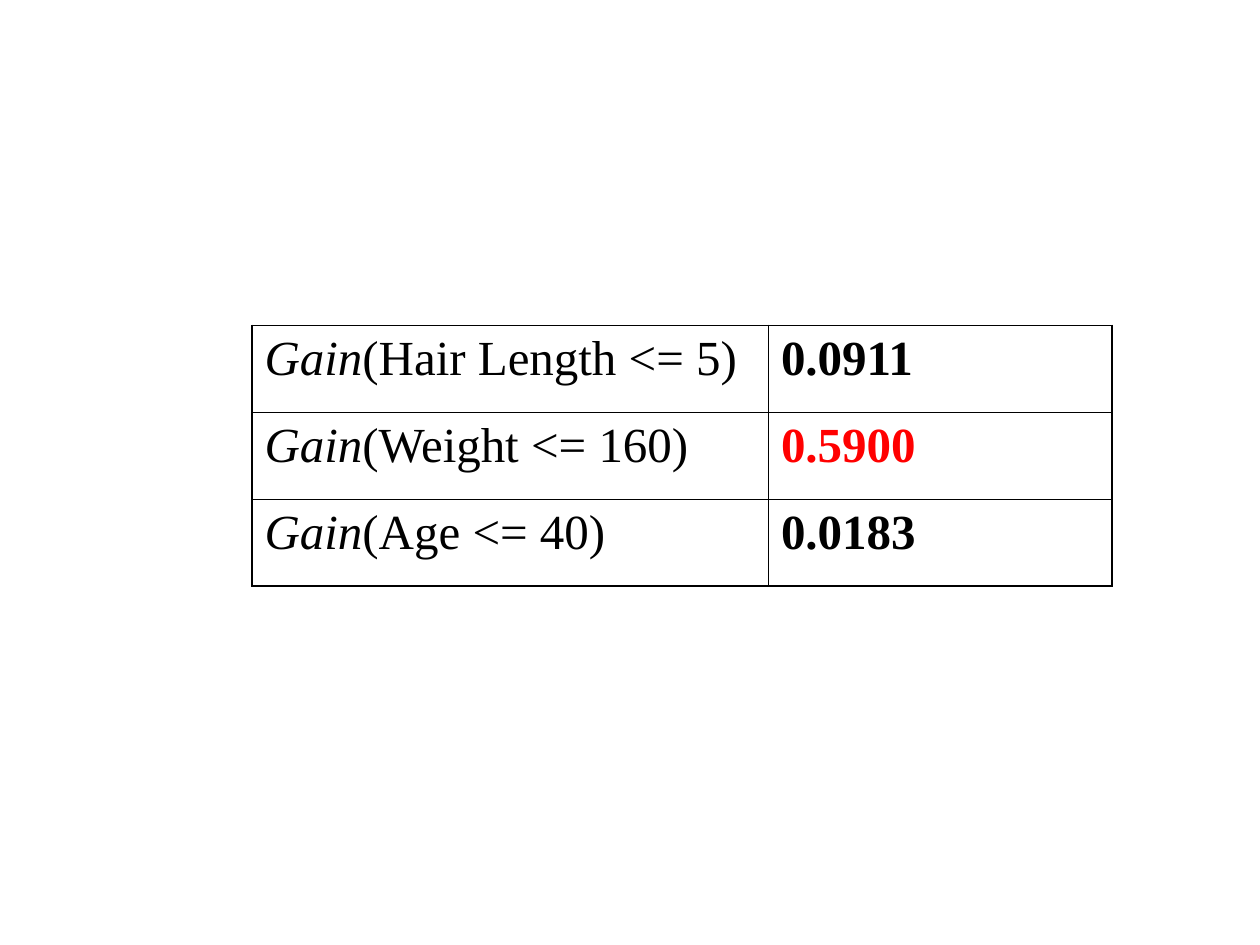
import pptx
import pptx.util
import pptx.dml.color
import lxml.etree
from pptx.oxml.ns import qn
from pptx.util import Cm, Pt

GAINS = [
    ("(Hair Length <= 5)", "0.0911", "ink"),
    ("(Weight <= 160)", "0.5900", "best"),
    ("(Age <= 40)", "0.0183", "ink"),
]
THEME = {
    "font": "Times New Roman",
    "size": Pt(28),
    "ink": "000000",
    "best": "FF0000",
    "outer": Pt(1.08),
    "inner": Pt(0.45),
}
LEFT, TOP = Cm(5.08), Cm(6.56)
WIDTHS = [Cm(10.41), Cm(6.93)]
HIGH = Cm(1.75)


def rule(cell, side, width):
    line = lxml.etree.SubElement(cell._tc.get_or_add_tcPr(), qn("a:ln" + side), w=str(int(width)))
    fill = lxml.etree.SubElement(line, qn("a:solidFill"))
    lxml.etree.SubElement(fill, qn("a:srgbClr"), val=THEME["ink"])


def frame(cell, row, col):
    edges = {
        "L": col == 0,
        "R": col == len(WIDTHS) - 1,
        "T": row == 0,
        "B": row == len(GAINS) - 1,
    }
    for side, edge in edges.items():
        rule(cell, side, THEME["outer" if edge else "inner"])
    cell.fill.background()


def write(cell, parts, color, bold):
    para = cell.text_frame.paragraphs[0]
    for text, slant in parts:
        run = para.add_run()
        run.text = text
        run.font.italic = slant
    font = para.font
    font.name, font.size, font.bold = THEME["font"], THEME["size"], bold
    font.color.rgb = pptx.dml.color.RGBColor.from_string(THEME[color])


def main():
    deck = pptx.Presentation()
    deck.slide_width, deck.slide_height = Cm(25.4), Cm(19.05)
    slide = deck.slides.add_slide(deck.slide_layouts[6])
    table = slide.shapes.add_table(
        len(GAINS), len(WIDTHS), LEFT, TOP, sum(WIDTHS), HIGH * len(GAINS)
    ).table
    table.first_row = table.horz_banding = False
    for column, width in zip(table.columns, WIDTHS):
        column.width = width
    for row, (test, gain, color) in enumerate(GAINS):
        table.rows[row].height = HIGH
        cells = [
            ([("Gain", True), (test, False)], "ink", False),
            ([(gain, False)], color, True),
        ]
        for col, (parts, tone, bold) in enumerate(cells):
            cell = table.cell(row, col)
            frame(cell, row, col)
            write(cell, parts, tone, bold)
    deck.save("out.pptx")


if __name__ == "__main__":
    main()
